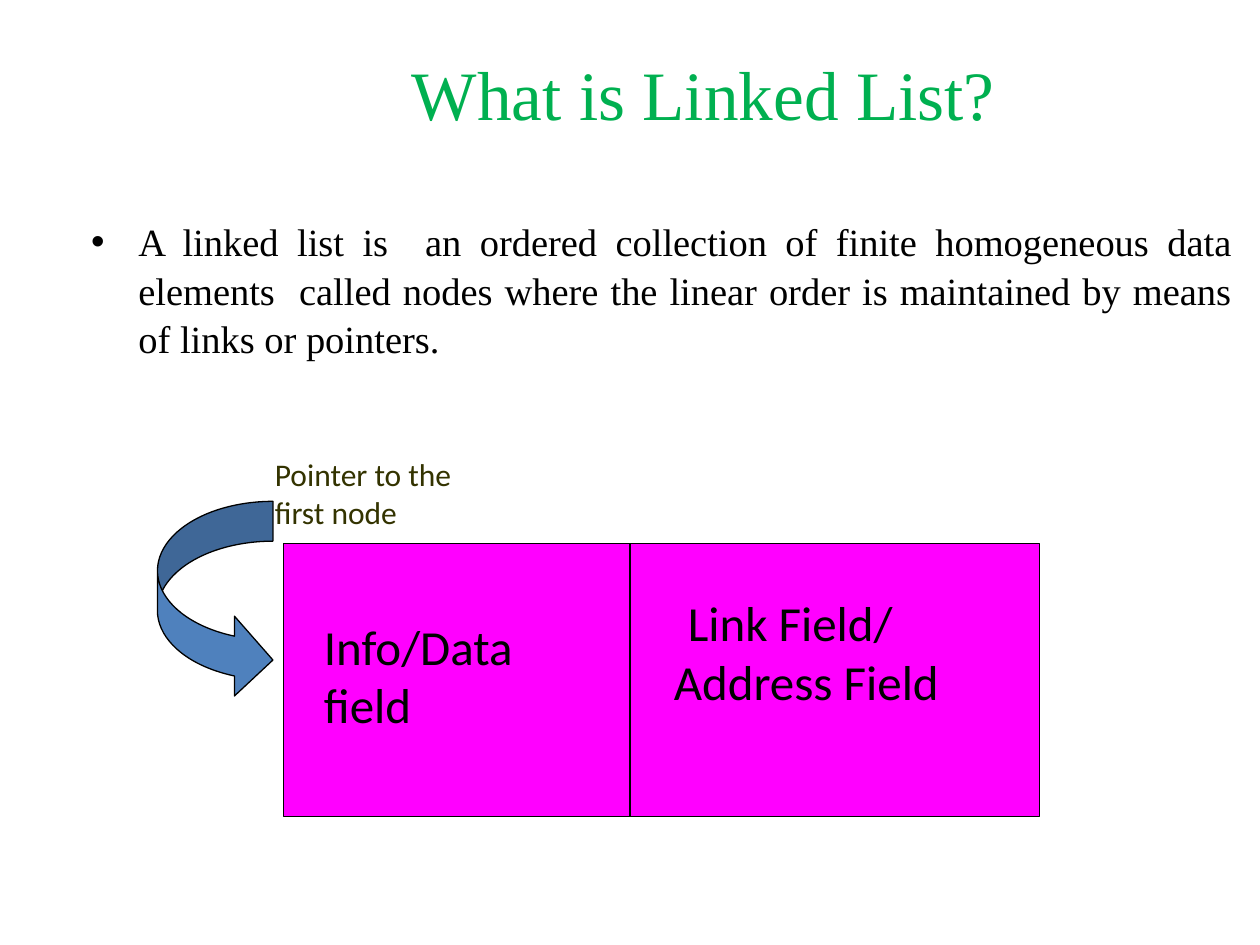
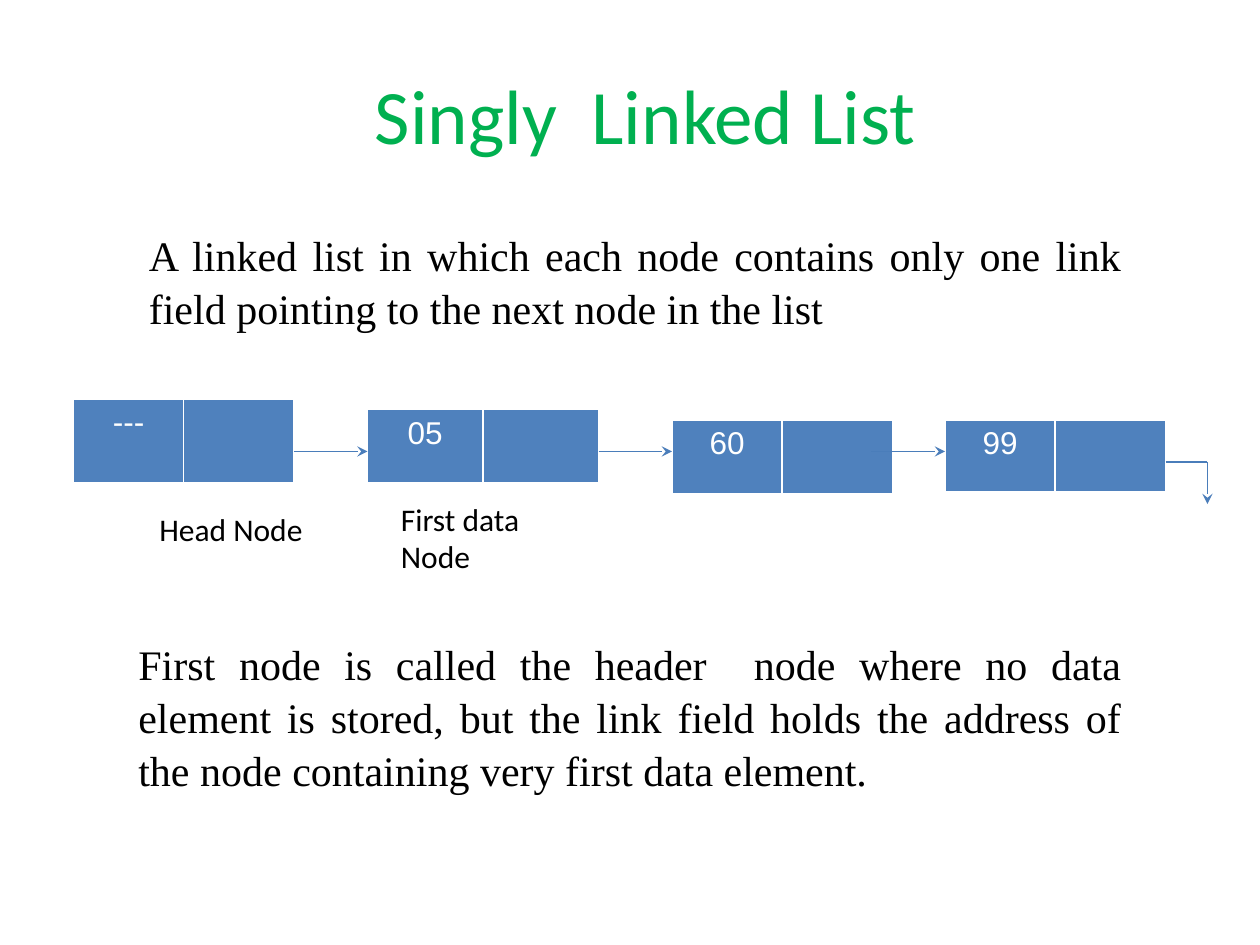
from pptx import Presentation
from pptx.util import Pt
from pptx.dml.color import RGBColor
from pptx.enum.shapes import MSO_SHAPE, MSO_CONNECTOR
from pptx.enum.text import PP_ALIGN, MSO_ANCHOR
from pptx.oxml.ns import qn
from lxml.etree import SubElement

SANS, SERIF, CELL = "Calibri", "Times New Roman", "Arial"
BLACK, WHITE, GREEN, OLIVE = "000000", "FFFFFF", "00B050", "333300"
BLUE, LINK, PINK = "4F81BD", "4A7DBA", "FF00FF"


def color(code):
    return RGBColor.from_string(code)


def write(para, text, size, font=SANS, code=BLACK):
    run = para.add_run()
    run.text = text
    run.font.size = Pt(size)
    run.font.name = font
    run.font.color.rgb = color(code)


def label(slide, box, lines, size, font=SANS, code=BLACK, align=PP_ALIGN.LEFT):
    frame = slide.shapes.add_textbox(*map(Pt, box)).text_frame
    frame.word_wrap = True
    for i, text in enumerate(lines):
        para = frame.add_paragraph() if i else frame.paragraphs[0]
        para.alignment = align
        write(para, text, size, font, code)
    return frame


def title(slide, box, text, size, font):
    frame = label(slide, box, [text], size, font, GREEN, PP_ALIGN.CENTER)
    frame.vertical_anchor = MSO_ANCHOR.MIDDLE


def prose(slide, box, text, size):
    frame = label(slide, box, [text], size, SERIF, align=PP_ALIGN.JUSTIFY)
    para = frame.paragraphs[0]
    para.line_spacing = 1.05
    return para


def indent(para, left, first):
    props = para._p.get_or_add_pPr()
    props.set("marL", str(Pt(left)))
    props.set("indent", str(Pt(first)))
    return props


def bullet(para):
    props = indent(para, 27, -27)
    SubElement(props, qn("a:buFont"), typeface=CELL)
    SubElement(props, qn("a:buChar"), char="•")


def shape(slide, kind, box, fill):
    item = slide.shapes.add_shape(kind, *map(Pt, box))
    item.shadow.inherit = False
    item.fill.solid()
    item.fill.fore_color.rgb = color(fill)
    item.line.color.rgb = color(BLACK)
    item.line.width = Pt(0.75)
    return item


def line(slide, ends, code, head=False):
    item = slide.shapes.add_connector(MSO_CONNECTOR.STRAIGHT, *map(Pt, ends))
    item.line.color.rgb = color(code)
    item.line.width = Pt(0.75)
    if head:
        SubElement(item.line._ln, qn("a:tailEnd"), type="stealth")
    SubElement(item._element.spPr, qn("a:effectLst"))


def fields(slide, box):
    x, y, w, h = box
    split = x + 198
    shape(slide, MSO_SHAPE.RECTANGLE, box, PINK)
    line(slide, (split, y, split, y + h), BLACK)
    label(slide, (x + 16, y + 38, 156, 75), ["Info/Data field"], 28)
    link = label(slide, (split + 18, y + 24.5, 180, 90),
                 ["Link Field/", "Address Field"], 28)
    indent(link.paragraphs[0], 0, 8)
    arrow = shape(slide, MSO_SHAPE.CURVED_RIGHT_ARROW,
                  (x - 72, y - 24, 66, 113.5), BLUE)
    for i, value in enumerate((0.345, 0.691, 0.333)):
        arrow.adjustments[i] = value
    label(slide, (x - 12, y - 54, 144, 50),
          ["Pointer to the first node"], 18, code=OLIVE)


def node(slide, x, y, wide, high, text):
    frame = slide.shapes.add_table(1, 2, Pt(x), Pt(y), Pt(2 * wide), Pt(high))
    grid = frame.table
    for cell in grid.iter_cells():
        cell.fill.solid()
        cell.fill.fore_color.rgb = color(BLUE)
    para = grid.cell(0, 0).text_frame.paragraphs[0]
    para.alignment = PP_ALIGN.CENTER
    write(para, text, 18, CELL, WHITE)


def chain(slide, x, y):
    nodes = [(0, 0, 63, 48, "---"), (168, 6, 66, 42, "05"),
             (342, 12, 63, 42, "60"), (498, 12, 63, 41, "99")]
    for dx, dy, wide, high, text in nodes:
        node(slide, x + dx, y + dy, wide, high, text)
    for tip in (168, 342, 498):
        line(slide, (x + tip - 42, y + 30, x + tip, y + 30), LINK, True)
    turn = x + 648
    line(slide, (turn - 24, y + 36, turn, y + 36), LINK)
    line(slide, (turn, y + 36, turn, y + 60), LINK, True)
    label(slide, (x + 42, y + 60, 108, 29), ["Head Node"], 18)
    label(slide, (x + 180, y + 54, 108, 51), ["First data  Node"], 18)


def intro(slide):
    fields(slide, (162, 310.5, 432, 156))
    title(slide, (120, 24, 564, 58), "What is Linked List?", 39.6, SERIF)
    bullet(prose(slide, (45, 120, 666, 119),
                 "A linked list is  an ordered collection of finite homogeneous "
                 "data elements  called nodes where the linear order is "
                 "maintained by means of links or pointers.", 22))


def singly(slide):
    title(slide, (168, 37, 402, 56), "Singly  Linked List", 44, SANS)
    chain(slide, 42, 228)
    prose(slide, (78, 126, 570, 66),
          "A linked list in which each node contains only one link field "
          "pointing to the next node in the list", 24)
    prose(slide, (72, 360, 576, 94),
          "First node is called the header  node where no data element is "
          "stored, but the link field holds the address of the node "
          "containing very first data element.", 24)


def main():
    deck = Presentation()
    deck.slide_width, deck.slide_height = Pt(720), Pt(540)
    for build in (intro, singly):
        build(deck.slides.add_slide(deck.slide_layouts[6]))
    deck.save("out.pptx")


if __name__ == "__main__":
    main()
